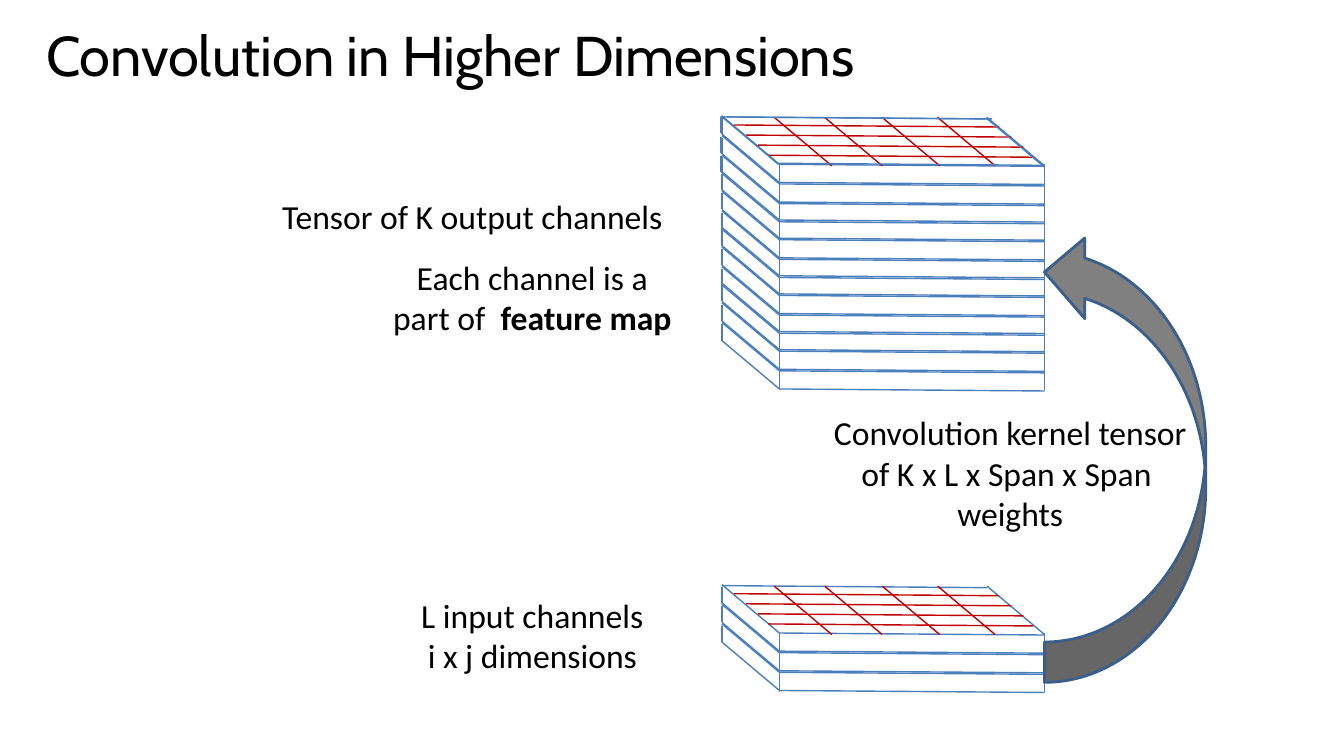
from lxml.etree import SubElement
from pptx import Presentation
from pptx.dml.color import RGBColor
from pptx.enum.shapes import MSO_CONNECTOR as Connector, MSO_SHAPE as Shape
from pptx.enum.text import MSO_ANCHOR as Anchor, PP_ALIGN as Align
from pptx.oxml.ns import qn
from pptx.util import Inches, Pt

BLUE, RED, BLACK = "4B7EBC", "C00000", "000000"
FRONT_WIDTH, SIDE_WIDTH, SIDE_DROP, TILT = 2.63, 0.57, 0.48, 0.02
LAYER_PITCH, LAYER_HEIGHT, GROUP_PITCH, GROUP_LAYERS = 0.195, 0.18, 0.553, 3
LEFT = 7.16
LABEL_FORMAT = {"size": Pt(24), "name": "Calibri"}
TITLE_FORMAT = {"size": Pt(40), "name": "Cabin"}


def color(value):
    return RGBColor.from_string(value)


def add_line(page, x1, y1, x2, y2, stroke=BLUE):
    line = page.shapes.add_connector(
        Connector.STRAIGHT, Inches(x1), Inches(y1), Inches(x2), Inches(y2))
    line.line.color.rgb = color(stroke)
    line.line.width = Pt(1)
    SubElement(line._element.spPr, qn("a:effectLst"))


def add_front_edge(page, x, y, stroke=BLUE):
    add_line(page, x, y, x + FRONT_WIDTH, y + TILT, stroke)


def add_side_edge(page, x, y, stroke=BLUE):
    add_line(page, x, y, x + SIDE_WIDTH, y + SIDE_DROP, stroke)


def add_layer(page, left, top):
    front_left = left + SIDE_WIDTH
    front_top = top + SIDE_DROP
    for edge in (0, LAYER_HEIGHT):
        add_front_edge(page, front_left, front_top + edge)
        add_side_edge(page, left, top + edge)
    for x in (front_left, front_left + FRONT_WIDTH):
        add_line(page, x, front_top, x, front_top + LAYER_PITCH)
    add_line(page, left, top + 0.02, left, top + LAYER_HEIGHT)


def add_top_grid(page, left, top):
    for x, y in ((0.12, 0.09), (0.24, 0.19), (0.36, 0.29), (0.46, 0.39)):
        add_front_edge(page, left + x, top + y, RED)
    for x in (0.52, 1.02, 1.59, 2.14):
        add_side_edge(page, left + x, top + 0.015, RED)


def add_tensor(page, left, top, groups, back_shift=0):
    for group in range(groups):
        for layer in range(GROUP_LAYERS):
            add_layer(page, left, top + group * GROUP_PITCH + layer * LAYER_PITCH)
    add_front_edge(page, left + back_shift, top + 0.01)
    add_side_edge(page, left + FRONT_WIDTH, top + 0.015)
    add_top_grid(page, left, top)


def add_output_outline(page, left, top):
    add_front_edge(page, left, top + 0.01)
    add_side_edge(page, left + FRONT_WIDTH, top + 0.02)
    add_front_edge(page, left + SIDE_WIDTH, top + SIDE_DROP - 0.01)
    add_side_edge(page, left, top)
    for layer in range(GROUP_LAYERS):
        y = top + 0.01 + layer * LAYER_PITCH
        add_line(page, left, y, left, y + 0.16)


def add_text(page, box, paragraphs, formats, align=Align.CENTER,
             anchor=Anchor.TOP, line_spacing=None):
    frame = page.shapes.add_textbox(*map(Inches, box)).text_frame
    frame.word_wrap = True
    frame.vertical_anchor = anchor
    for index, spans in enumerate(paragraphs):
        para = frame.add_paragraph() if index else frame.paragraphs[0]
        para.alignment = align
        para.line_spacing = line_spacing
        for text, bold in spans:
            span = para.add_run()
            span.text = text
            for key, value in {**formats, "bold": bold}.items():
                setattr(span.font, key, value)
            span.font.color.rgb = color(BLACK)


def add_kernel_arrow(page, box):
    arrow = page.shapes.add_shape(Shape.CURVED_RIGHT_ARROW, *map(Inches, box))
    arrow.shadow.inherit = False
    arrow.fill.solid()
    arrow.fill.fore_color.rgb = color("808080")
    arrow.line.color.rgb = color("3A5F8C")
    arrow.line.width = Pt(2)
    frame = arrow._element.spPr.find(qn("a:xfrm"))
    for flip in ("flipH", "flipV"):
        frame.set(flip, "1")


def add_labels(page):
    labels = [
        ((3.73, 5.85, 3.1, 0.91),
         [[("L input channels", False)], [("i x j dimensions", False)]]),
        ((2.6, 1.89, 4.17, 0.5), [[("Tensor of K output channels", False)]]),
        ((7.62, 4.04, 4.8, 1.31),
         [[("Convolution kernel tensor", False)],
          [("of K x L x Span x Span ", False)], [("weights", False)]]),
        ((3.73, 2.5, 3.1, 0.91),
         [[("Each channel is a part of  ", False), ("feature map", True)]]),
    ]
    for box, paragraphs in labels:
        add_text(page, box, paragraphs, LABEL_FORMAT)


def build_convolution_slide(deck):
    page = deck.slides.add_slide(deck.slide_layouts[6])
    add_text(page, (0.36, 0.23, 12.74, 0.74),
             [[("Convolution in Higher Dimensions", False)]],
             TITLE_FORMAT, Align.LEFT, Anchor.MIDDLE, 0.8)
    add_tensor(page, LEFT, 5.8, groups=1)
    add_tensor(page, LEFT, 1.15, groups=4, back_shift=0.05)
    add_output_outline(page, LEFT - 0.01, 1.15)
    add_kernel_arrow(page, (10.36, 2.3, 1.6, 4.47))
    add_labels(page)


def main():
    deck = Presentation()
    deck.slide_width = Inches(13.33)
    deck.slide_height = Inches(7.5)
    build_convolution_slide(deck)
    deck.save("out.pptx")


if __name__ == "__main__":
    main()
